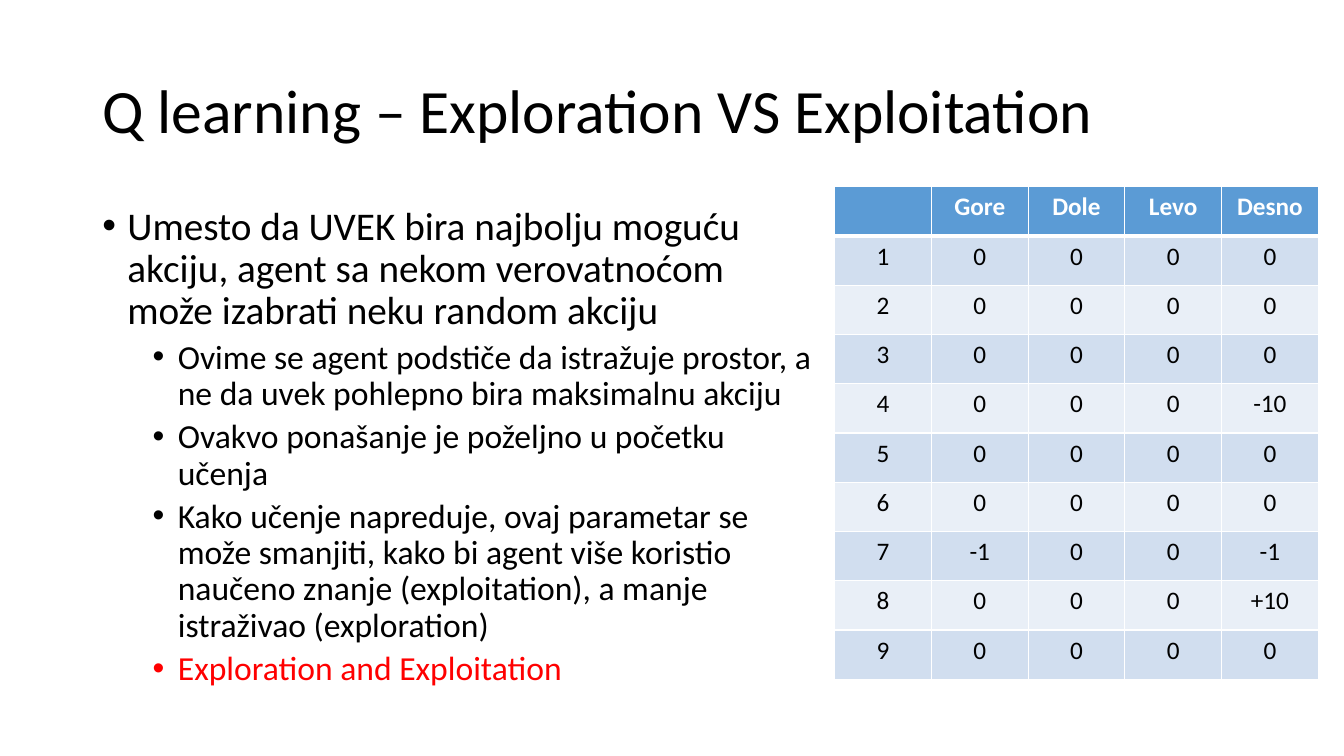
from lxml import etree
from pptx import Presentation, util as u
from pptx.dml.color import RGBColor
from pptx.enum import text
from pptx.oxml import ns

BLACK = RGBColor(0, 0, 0)
WHITE = RGBColor(255, 255, 255)
RED = RGBColor(255, 0, 0)
BLUE = RGBColor(0x5B, 0x9B, 0xD5)
BANDS = RGBColor(0xE9, 0xEF, 0xF7), RGBColor(0xD1, 0xDE, 0xEF)

POINTS = [
    (0, "Umesto da UVEK bira najbolju moguću akciju, agent sa nekom "
        "verovatnoćom može izabrati neku random akciju", BLACK),
    (1, "Ovime se agent podstiče da istražuje prostor, a ne da uvek "
        "pohlepno bira maksimalnu akciju", BLACK),
    (1, "Ovakvo ponašanje je poželjno u početku učenja", BLACK),
    (1, "Kako učenje napreduje, ovaj parametar se može smanjiti, kako bi "
        "agent više koristio naučeno znanje (exploitation), a manje "
        "istraživao (exploration)", BLACK),
    (1, "Exploration and Exploitation", RED),
]
MOVES = ["Gore", "Dole", "Levo", "Desno"]
STATES = 9
REWARDS = {(4, "Desno"): "-10", (7, "Gore"): "-1",
           (7, "Desno"): "-1", (8, "Desno"): "+10"}


def style(para, size, color, bold=False):
    """Set the font of a paragraph."""
    font = para.font
    font.name, font.size, font.bold = "Calibri", u.Pt(size), bold
    font.color.rgb = color


def add_title(slide, words):
    """Place and fill the title."""
    title = slide.shapes.title
    title.left, title.top = u.Pt(66), u.Pt(28.75)
    title.width, title.height = u.Pt(828), u.Pt(104.4)
    frame = title.text_frame
    frame.text = words
    frame.auto_size = text.MSO_AUTO_SIZE.NONE
    frame.vertical_anchor = text.MSO_ANCHOR.MIDDLE
    para = frame.paragraphs[0]
    para.alignment = text.PP_ALIGN.LEFT
    para.line_spacing = 0.9
    style(para, 44, BLACK)


def add_bullet(para, level):
    """Give a paragraph a hanging bullet."""
    props = para._p.get_or_add_pPr()
    props.set("marL", str(u.Pt(18 + 36 * level)))
    props.set("indent", str(-u.Pt(18)))
    etree.SubElement(props, ns.qn("a:buFont"), typeface="Arial")
    etree.SubElement(props, ns.qn("a:buChar"), char="•")


def add_points(slide, points):
    """Add the bulleted text."""
    box = slide.shapes.add_textbox(u.Pt(66), u.Pt(143.75), u.Pt(525.6), u.Pt(342.6))
    frame = box.text_frame
    frame.word_wrap = True
    for i, (level, words, color) in enumerate(points):
        para = frame.add_paragraph() if i else frame.paragraphs[0]
        para.text = words
        para.level = level
        para.line_spacing = 0.9
        para.space_before = u.Pt(5 if level else 10)
        add_bullet(para, level)
        style(para, 24 if level else 28, color)


def add_border(cell, side, width):
    """Draw one white edge of a cell."""
    props = cell._tc.get_or_add_tcPr()
    line = etree.SubElement(props, ns.qn("a:ln" + side), w=str(u.Pt(width)))
    fill = etree.SubElement(line, ns.qn("a:solidFill"))
    etree.SubElement(fill, ns.qn("a:srgbClr"), val=str(WHITE))


def fill_cell(cell, row, words):
    """Write and format one cell of the table."""
    head = row == 0
    para = cell.text_frame.paragraphs[0]
    para.text = words
    para.alignment = text.PP_ALIGN.CENTER
    style(para, 18, WHITE if head else BLACK, head)
    thick = {"T": row == 1, "B": head}
    for side in "LRTB":
        add_border(cell, side, 3 if thick.get(side) else 0.96)
    cell.fill.solid()
    cell.fill.fore_color.rgb = BLUE if head else BANDS[row % 2]


def add_values(slide):
    """Add the table of Q values."""
    rows = [[""] + MOVES]
    for state in range(1, STATES + 1):
        rows.append([str(state)] + [REWARDS.get((state, move), "0") for move in MOVES])
    wide, high = 69.1, 35.2
    frame = slide.shapes.add_table(
        len(rows), len(rows[0]), u.Pt(596.2), u.Pt(133.4),
        u.Pt(wide * len(rows[0])), u.Pt(high * len(rows)))
    table = frame.table
    for col in table.columns:
        col.width = u.Pt(wide)
    for r, row in enumerate(rows):
        table.rows[r].height = u.Pt(high)
        for c, words in enumerate(row):
            fill_cell(table.cell(r, c), r, words)


def main():
    """Build the slide."""
    deck = Presentation()
    deck.slide_width, deck.slide_height = u.Pt(960), u.Pt(540)
    slide = deck.slides.add_slide(deck.slide_layouts[5])
    add_title(slide, "Q learning – Exploration VS Exploitation")
    add_points(slide, POINTS)
    add_values(slide)
    deck.save("out.pptx")


if __name__ == "__main__":
    main()
